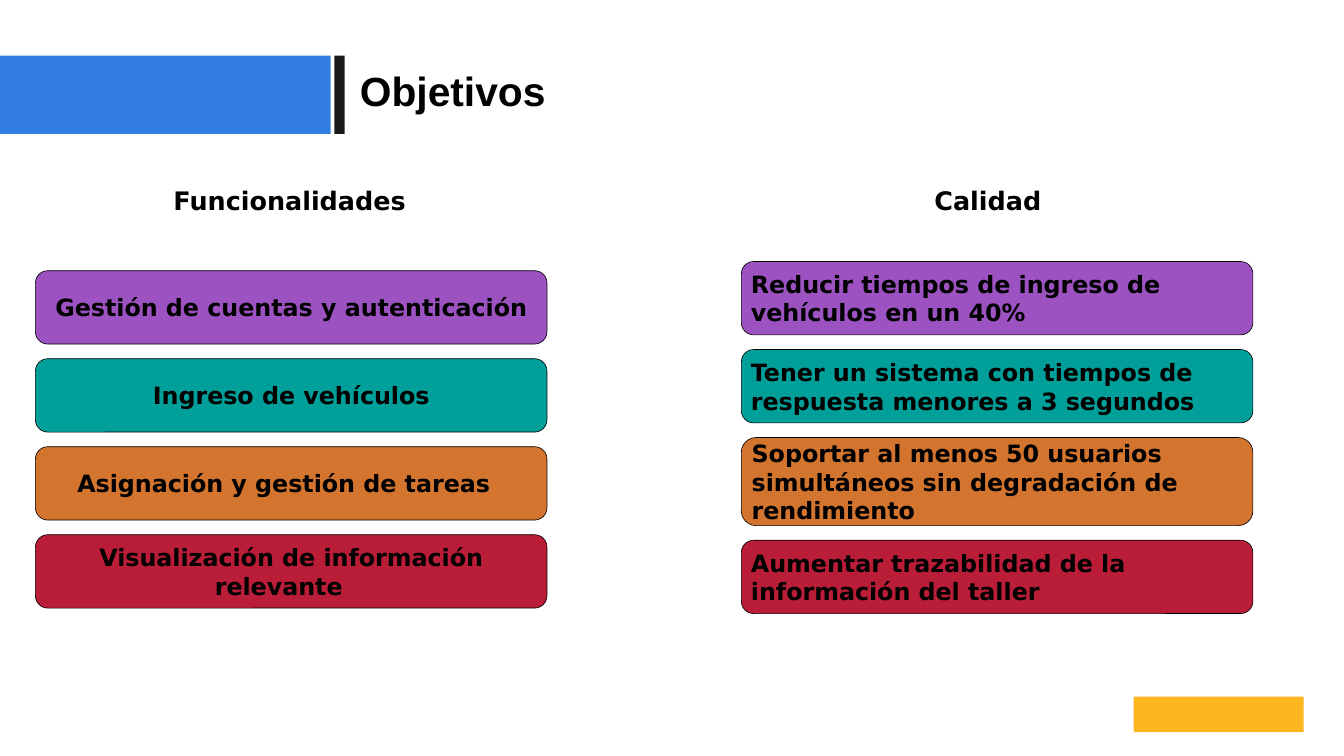
"""Build the project objectives slide with two stacks of coloured cards."""
import pptx
import pptx.dml.color
import pptx.enum.shapes
import pptx.enum.text
import pptx.util

Inches = pptx.util.Inches
Shapes = pptx.enum.shapes.MSO_SHAPE
Anchor = pptx.enum.text.MSO_ANCHOR
Align = pptx.enum.text.PP_ALIGN

TITLE = "Objetivos"
COLUMNS = [
    {
        "heading": "Funcionalidades", "heading_left": 2.74, "heading_width": 4.06,
        "left": 0.58, "top": 4.43, "align": Align.CENTER,
        "cards": [
            ("Gestión de cuentas y autenticación", 1.2),
            ("Ingreso de vehículos", 1.2),
            ("Asignación y gestión de tareas\t", 1.2),
            ("Visualización de información relevante\t", 1.2),
        ],
    },
    {
        "heading": "Calidad", "heading_left": 15.19, "heading_width": 2.24,
        "left": 12.13, "top": 4.28, "align": Align.LEFT,
        "cards": [
            ("Reducir tiempos de ingreso de vehículos en un 40%", 1.2),
            ("Tener un sistema con tiempos de respuesta menores a 3 segundos", 1.2),
            ("Soportar al menos 50 usuarios simultáneos sin degradación de rendimiento", 1.44),
            ("Aumentar trazabilidad de la información del taller", 1.2),
        ],
    },
]
THEME = {
    "text": "000000", "banner": "317DE2", "bar": "1A1A1A", "badge": "FEB620",
    "cards": ["9C52C1", "009F9A", "D3752E", "BA1D37"],
    "title_font": "Arial", "body_font": "DejaVu Sans",
    "title_size": 48, "heading_size": 30, "card_size": 28,
}
CARD_WIDTH, CARD_GAP = 8.37, 0.24
HEADING_TOP, HEADING_HEIGHT = 2.93, 0.81


def color(code):
    """Return the colour for a hex code."""
    return pptx.dml.color.RGBColor.from_string(code)


def write(shape, text, font, size, align=Align.LEFT, anchor=Anchor.TOP, inset=0.1):
    """Fill a shape with one bold paragraph."""
    frame = shape.text_frame
    layout = {"word_wrap": True, "vertical_anchor": anchor}
    for side in ("left", "top", "right", "bottom"):
        layout[f"margin_{side}"] = Inches(inset)
    for name, value in layout.items():
        setattr(frame, name, value)
    para = frame.paragraphs[0]
    para.alignment = align
    span = para.add_run()
    span.text = text
    for name, value in {"name": font, "size": pptx.util.Pt(size), "bold": True}.items():
        setattr(span.font, name, value)
    span.font.color.rgb = color(THEME["text"])


def add_block(page, kind, area, fill):
    """Add a flat filled shape without an outline."""
    block = page.shapes.add_shape(kind, *map(Inches, area))
    block.shadow.inherit = False
    block.fill.solid()
    block.fill.fore_color.rgb = color(fill)
    block.line.fill.background()
    return block


def add_column(page, column):
    """Add a heading and the stack of cards below it."""
    area = (column["heading_left"], HEADING_TOP, column["heading_width"], HEADING_HEIGHT)
    box = page.shapes.add_textbox(*map(Inches, area))
    write(box, column["heading"], THEME["body_font"], THEME["heading_size"])
    top = column["top"]
    for (text, height), fill in zip(column["cards"], THEME["cards"]):
        area = (column["left"], top, CARD_WIDTH, height)
        card = add_block(page, Shapes.ROUNDED_RECTANGLE, area, fill)
        card.line.color.rgb = color(THEME["text"])
        card.line.width = pptx.util.Pt(0.75)
        write(card, text, THEME["body_font"], THEME["card_size"],
              column["align"], Anchor.MIDDLE)
        top += height + CARD_GAP


def main():
    """Assemble and save the deck."""
    deck = pptx.Presentation()
    deck.slide_width, deck.slide_height = Inches(21.99), Inches(12.37)
    page = deck.slides.add_slide(deck.slide_layouts[5])
    add_block(page, Shapes.RECTANGLE, (0, 0.91, 5.41, 1.28), THEME["banner"])
    add_block(page, Shapes.RECTANGLE, (5.47, 0.91, 0.17, 1.28), THEME["bar"])
    add_block(page, Shapes.RECTANGLE, (18.55, 11.4, 2.78, 0.58), THEME["badge"])
    title = page.shapes.title
    for name, value in {"left": 5.89, "top": 1.07, "width": 13.22, "height": 0.81}.items():
        setattr(title, name, Inches(value))
    write(title, TITLE, THEME["title_font"], THEME["title_size"], inset=0)
    for column in COLUMNS:
        add_column(page, column)
    deck.save("out.pptx")


if __name__ == "__main__":
    main()
